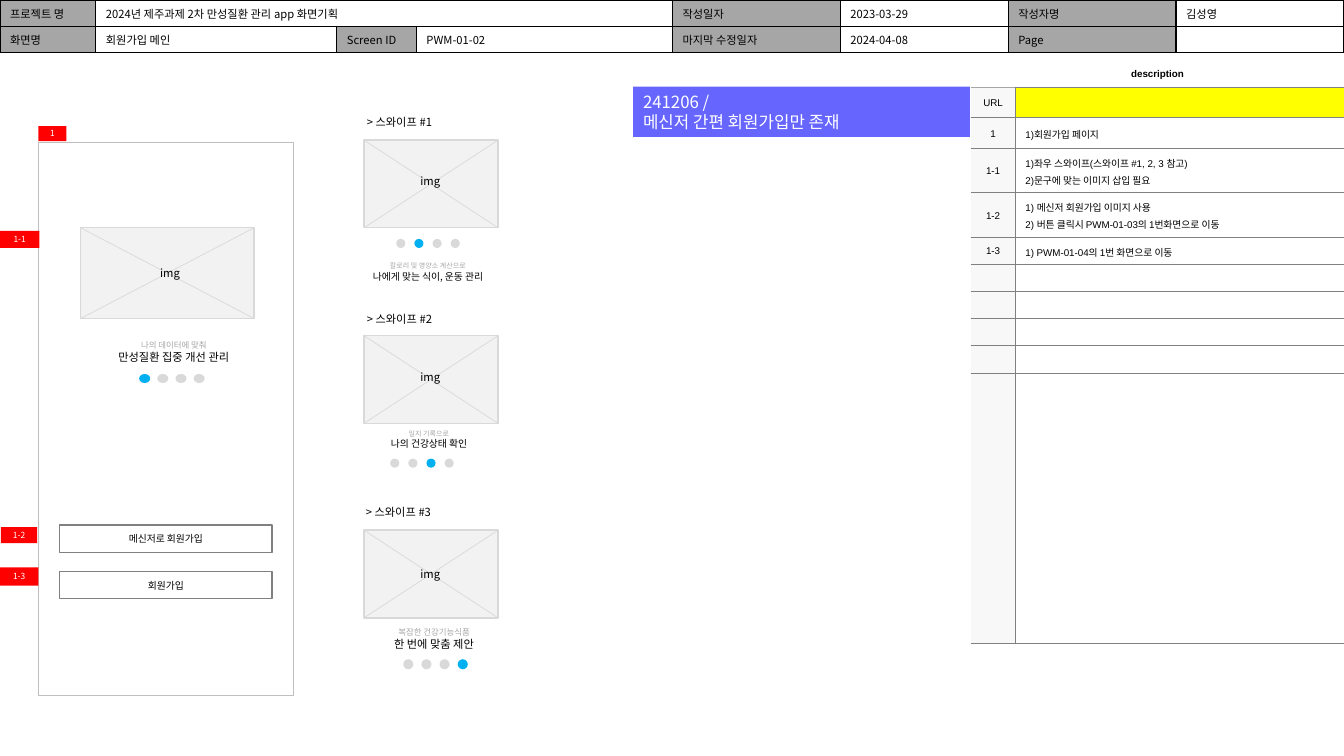
from lxml.etree import SubElement
from pptx import Presentation
from pptx.dml.color import RGBColor
from pptx.enum.shapes import MSO_CONNECTOR, MSO_SHAPE
from pptx.enum.text import MSO_ANCHOR, PP_ALIGN
from pptx.oxml.ns import qn
from pptx.util import Inches, Pt

WIDE, HIGH = 13.33, 7.5
SANS, ARIAL = "Noto Sans CJK KR", "Arial"
BLACK, WHITE, GREY, PALE, DARK = "000000", "FFFFFF", "A6A6A6", "D9D9D9", "808080"
BLUE, RED = "00B0F0", "FF0000"
LEFT, MID, JUST = PP_ALIGN.LEFT, PP_ALIGN.CENTER, PP_ALIGN.JUSTIFY

HEAD_ROWS = [
    ["프로젝트 명", "2024년 제주과제 2차 만성질환 관리 app 화면기획", "", "",
     "작성일자", "2023-03-29", "작성자명", "김성영"],
    ["화면명", "회원가입 메인", "Screen ID", "PWM-01-02",
     "마지막 수정일자", "2024-04-08", "Page", ""],
]
HEAD_COLS = [0.95, 2.39, 0.79, 2.54] + [(WIDE - 6.67) / 4] * 4

# key, lines, row height
NOTES = [
    ("description", [], 0.26),
    ("URL", [], 0.3),
    ("1", ["1)회원가입 페이지"], 0.31),
    ("1-1", ["1)좌우 스와이프(스와이프 #1, 2, 3 참고)", "2)문구에 맞는 이미지 삽입 필요"], 0.44),
    ("1-2", ["1) 메신저 회원가입 이미지 사용",
             "2) 버튼 클릭시 PWM-01-03의 1번화면으로 이동"], 0.44),
    ("1-3", ["1) PWM-01-04의 1번 화면으로 이동"], 0.27),
] + [("", [], 0.27)] * 4 + [("", [], 2.68)]
NOTE_COLS = [0.44, 3.26]

# image box, place of its label, caption box, caption lines, caption sizes,
# first dot, dot size, lit dot
SWIPES = [
    ((0.8, 2.26, 1.72, 0.9), (1.49, 2.59), (0.76, 3.33, 1.93, 0.34),
     ("나의 데이터에 맞춰", "만성질환 집중 개선 관리"), (6, 8), (1.38, 3.71), (0.11, 0.09), 0),
    ((3.61, 1.39, 1.33, 0.87), (4.07, 1.68), (3.22, 2.55, 2.05, 0.3),
     ("칼로리 및 영양소 계산으로", "나에게 맞는 식이, 운동 관리"), (5, 7), (3.93, 2.37), (0.09, 0.09), 1),
    ((3.61, 3.33, 1.33, 0.87), (4.07, 3.62), (3.23, 4.21, 2.05, 0.3),
     ("일지 기록으로", "나의 건강상태 확인"), (5, 7), (3.87, 4.55), (0.09, 0.09), 2),
    ((3.61, 5.26, 1.33, 0.87), (4.07, 5.58), (3.28, 6.17, 2.05, 0.34),
     ("복잡한 건강기능식품", "한 번에 맞춤 제안"), (6, 8), (4, 6.54), (0.1, 0.1), 3),
]
DOT_STEP = 0.18
TITLES = [("> 스와이프 #1", 3.54, 1.1), ("> 스와이프 #2", 3.54, 3.05), ("> 스와이프 #3", 3.53, 4.96)]
BUTTONS = [("메신저로 회원가입", 5.21), ("회원가입", 5.67)]
TAGS = [("1", 0.38, 1.25, 0.28, 0.15), ("1-1", 0, 2.29, 0.39, 0.17),
        ("1-2", 0.01, 5.23, 0.36, 0.16), ("1-3", 0, 5.63, 0.38, 0.18)]
MEMO = ["241206 /", "메신저 간편 회원가입만 존재"]


def paint(code):
    return RGBColor.from_string(code)


def inch(*nums):
    return [Inches(n) for n in nums]


def add_run(para, text, size, color=BLACK, face=SANS, bold=False):
    run = para.add_run()
    run.text = text
    for key, val in {"size": Pt(size), "name": face, "bold": bold}.items():
        setattr(run.font, key, val)
    run.font.color.rgb = paint(color)
    SubElement(run.font._element, qn("a:ea"), typeface=SANS)


def write(frame, lines, size, align=LEFT, gap=None, **look):
    """Put each line in a paragraph of its own."""
    for i, line in enumerate(lines):
        para = frame.add_paragraph() if i else frame.paragraphs[0]
        para.alignment, para.line_spacing = align, gap
        if line:
            add_run(para, line, size, **look)
    if not any(lines):
        SubElement(frame.paragraphs[0]._p, qn("a:endParaRPr"), sz=str(size * 100))


def add_box(home, box, fill=None, line=None, weight=1, kind=MSO_SHAPE.RECTANGLE):
    shape = home.add_shape(kind, *inch(*box))
    shape.shadow.inherit = False
    if fill:
        shape.fill.solid()
        shape.fill.fore_color.rgb = paint(fill)
    else:
        shape.fill.background()
    if line:
        shape.line.color.rgb = paint(line)
        shape.line.width = Pt(weight)
    else:
        shape.line.fill.background()
    return shape


def add_label(home, box):
    frame = home.add_textbox(*inch(*box)).text_frame
    frame.word_wrap = True
    return frame


def center(shape, text, size, color):
    frame = shape.text_frame
    frame.word_wrap = False
    frame.vertical_anchor = MSO_ANCHOR.MIDDLE
    write(frame, [text], size, MID, color=color)


def add_grid(home, x, y, cols, rows):
    grid = home.add_table(len(rows), len(cols), *inch(x, y, sum(cols), sum(rows))).table
    grid.first_row = grid.horz_banding = False
    for part, sizes in ((grid.columns, cols), (grid.rows, rows)):
        for item, size in zip(part, sizes):
            setattr(item, "width" if part is grid.columns else "height", Inches(size))
    return grid


def style(cell, fill, edges, weight):
    """Fill a cell and draw the edges given as side to colour."""
    props = cell._tc.get_or_add_tcPr()
    for side in "LRTB":
        color = edges.get(side)
        edge = SubElement(props, qn("a:ln" + side), w=str(Pt(weight) if color else 0))
        if color:
            SubElement(SubElement(edge, qn("a:solidFill")), qn("a:srgbClr"), val=color)
        else:
            SubElement(edge, qn("a:noFill"))
    cell.vertical_anchor = MSO_ANCHOR.MIDDLE
    if fill:
        cell.fill.solid()
        cell.fill.fore_color.rgb = paint(fill)
    else:
        cell.fill.background()


def add_head(home):
    grid = add_grid(home, 0, 0, HEAD_COLS, [0.26, 0.26])
    for r, row in enumerate(HEAD_ROWS):
        for c, text in enumerate(row):
            named = c % 2 == 0 and text
            style(grid.cell(r, c), GREY if named else None, dict.fromkeys("LRTB", BLACK), 1)
            write(grid.cell(r, c).text_frame, [text], 8)
    grid.cell(0, 1).merge(grid.cell(0, 3))


def add_notes(home):
    grid = add_grid(home, 9.63, 0.6, NOTE_COLS, [note[2] for note in NOTES])
    for r, (key, lines, _) in enumerate(NOTES):
        name, body = grid.cell(r, 0), grid.cell(r, 1)
        top = r == 0
        tone = {"T": GREY if r == 1 else DARK, "B": GREY if r == 1 else DARK}
        style(name, WHITE if top else "F8F8F8", {"B": GREY} if top else {**tone, "R": DARK}, 0.25)
        style(body, "FFFF00" if r == 1 else None,
              {"B": GREY} if top else {"L": DARK, "T": DARK, "B": DARK}, 0.25)
        write(name.text_frame, [key], 7, MID, None if top else 1.2, face=ARIAL, bold=top)
        write(body.text_frame, lines, 7, JUST, 1.2, face=ARIAL)
    grid.cell(0, 0).merge(grid.cell(0, 1))


def add_swipe(home, box, spot, place, words, sizes, start, size, lit):
    x, y, w, h = box
    group = home.add_group_shape().shapes
    add_box(group, box, "F2F2F2", PALE)
    for x1, x2 in ((x, x + w), (x + w, x)):
        line = group.add_connector(MSO_CONNECTOR.STRAIGHT, *inch(x1, y, x2, y + h))
        line.line.color.rgb = paint(PALE)
        line.line.width = Pt(0.5)
        SubElement(line._element.spPr, qn("a:effectLst"))
    write(add_label(home, (*spot, 0.58, 0.24)), ["img"], 8)
    para = add_label(home, place).paragraphs[0]
    para.alignment = MID
    add_run(para, words[0], sizes[0], GREY)
    para.add_line_break()
    add_run(para, words[1], sizes[1])
    for i in range(4):
        dot = (start[0] + i * DOT_STEP, start[1], *size)
        add_box(home, dot, BLUE if i == lit else PALE, kind=MSO_SHAPE.OVAL)


def main():
    deck = Presentation()
    deck.slide_width, deck.slide_height = inch(WIDE, HIGH)
    home = deck.slides.add_slide(deck.slide_layouts[6]).shapes
    add_head(home)
    add_notes(home)
    add_box(home, (0.38, 1.41, 2.53, 5.49), WHITE, "BFBFBF", 0.25)
    for swipe in SWIPES:
        add_swipe(home, *swipe)
    for text, x, y in TITLES:
        write(add_label(home, (x, y, 1.04, 0.24)), [text], 8)
    for text, y in BUTTONS:
        center(add_box(home, (0.59, y, 2.11, 0.27), line=DARK), text, 7, BLACK)
    for text, *box in TAGS:
        center(add_box(home, box, RED), text, 6, WHITE)
    memo = add_box(home, (6.28, 0.86, 3.34, 0.5), "6666FF").text_frame
    memo.vertical_anchor = MSO_ANCHOR.TOP
    write(memo, MEMO, 12, color=WHITE)
    deck.save("out.pptx")


if __name__ == "__main__":
    main()
